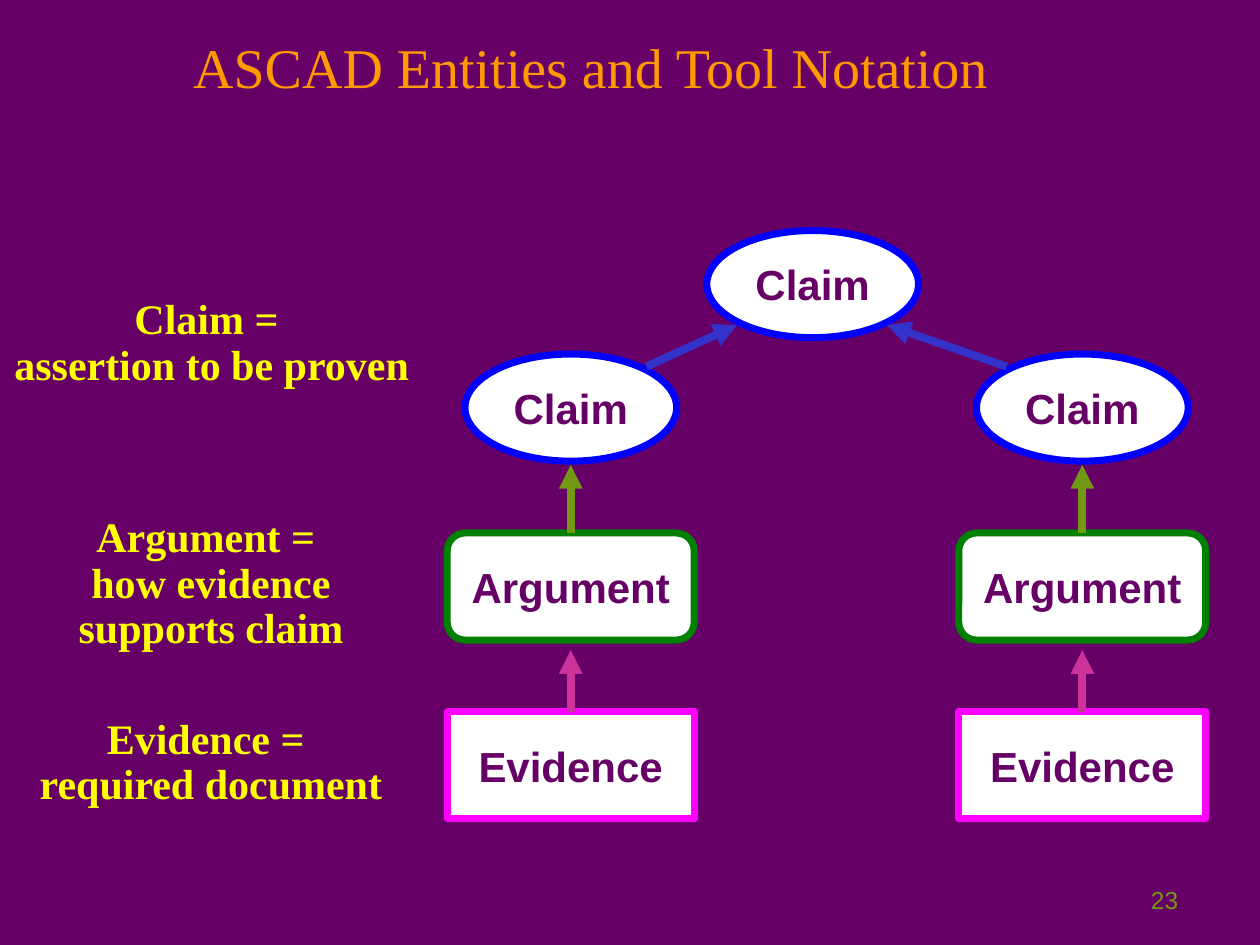
from lxml.etree import SubElement
from pptx import Presentation
from pptx.dml.color import RGBColor
from pptx.enum.shapes import MSO_CONNECTOR, MSO_SHAPE
from pptx.enum.text import MSO_ANCHOR, PP_ALIGN
from pptx.oxml.ns import qn
from pptx.util import Inches, Pt


def color(hex_value):
    """Turn a hex string into a colour."""
    return RGBColor.from_string(hex_value)


def write_text(frame, text, size=24, font="Arial", ink="660066", bold=False,
               align=PP_ALIGN.CENTER, anchor=MSO_ANCHOR.TOP, wrap=True, spacing=None):
    """Fill a text frame with one paragraph per line of text."""
    frame.word_wrap = wrap
    frame.vertical_anchor = anchor
    for index, line in enumerate(text.split("\n")):
        paragraph = frame.add_paragraph() if index else frame.paragraphs[0]
        paragraph.alignment = align
        if spacing:
            paragraph.line_spacing = spacing
        run = paragraph.add_run()
        run.text = line
        run.font.size = Pt(size)
        run.font.name = font
        run.font.bold = bold
        run.font.color.rgb = color(ink)


class NotationSlide:
    """Hold the diagram style and draw its elements on one slide."""

    serif = "Times New Roman"
    background = "660066"
    node_fill = "FFFFFF"
    node_height = 0.85
    node_line = 4
    arrow_line = 4.5

    def __init__(self, presentation):
        """Add a blank slide with the background colour."""
        self.slide = presentation.slides.add_slide(presentation.slide_layouts[6])
        self.slide.background.fill.solid()
        self.slide.background.fill.fore_color.rgb = color(self.background)

    def text(self, left, top, width, height, text, **style):
        """Add a text box."""
        box = self.slide.shapes.add_textbox(
            Inches(left), Inches(top), Inches(width), Inches(height))
        write_text(box.text_frame, text, **style)

    def definition(self, left, top, width, height, text):
        """Add a definition of one entity."""
        self.text(left, top, width, height, text, font=self.serif,
                  ink="FFFF00", bold=True, spacing=0.9)

    def node(self, kind, center, top, width, line_color, text):
        """Add a labelled node centred on a column."""
        shape = self.slide.shapes.add_shape(
            kind, Inches(center - width / 2), Inches(top),
            Inches(width), Inches(self.node_height))
        shape.shadow.inherit = False
        shape.fill.solid()
        shape.fill.fore_color.rgb = color(self.node_fill)
        shape.line.color.rgb = color(line_color)
        shape.line.width = Pt(self.node_line)
        write_text(shape.text_frame, text, bold=True,
                   anchor=MSO_ANCHOR.MIDDLE, wrap=False)
        return shape

    def claim(self, center, top):
        """Add a claim ellipse."""
        return self.node(MSO_SHAPE.OVAL, center, top, 1.68, "0000FF", "Claim")

    def arrow(self, start, end, line_color, source=None):
        """Add an arrow, joined to the top of its source if given."""
        connector = self.slide.shapes.add_connector(
            MSO_CONNECTOR.STRAIGHT, *(Inches(value) for value in (*start, *end)))
        if source is not None:
            connector.begin_connect(source, 0)
        connector.line.color.rgb = color(line_color)
        connector.line.width = Pt(self.arrow_line)
        SubElement(connector.line._get_or_add_ln(), qn("a:tailEnd"), type="triangle")
        SubElement(connector._element.spPr, qn("a:effectLst"))

    def branch(self, center):
        """Add a column where evidence supports an argument for a claim."""
        self.claim(center, 2.81)
        argument = self.node(MSO_SHAPE.ROUNDED_RECTANGLE, center, 4.23, 1.96,
                             "008000", "Argument")
        evidence = self.node(MSO_SHAPE.RECTANGLE, center, 5.65, 1.96,
                             "FF00FF", "Evidence")
        self.arrow((center, 4.23), (center, 3.69), "729814", argument)
        self.arrow((center, 5.65), (center, 5.16), "CC3399", evidence)


def main():
    """Build and save the slide."""
    presentation = Presentation()
    presentation.slide_width = Inches(10)
    presentation.slide_height = Inches(7.5)
    notation = NotationSlide(presentation)

    notation.text(0.44, -0.08, 8.5, 0.92, "ASCAD Entities and Tool Notation", size=32,
                  font=notation.serif, ink="FF9900", anchor=MSO_ANCHOR.BOTTOM)
    notation.definition(-0.08, 2.32, 3.52, 0.82, "Claim = \nassertion to be proven")
    notation.definition(0.11, 4.05, 3.13, 1.18, "Argument = \nhow evidence supports claim")
    notation.definition(0.11, 5.65, 3.13, 0.82, "Evidence = \nrequired document")

    notation.claim(6.45, 1.83)
    for center in (4.53, 8.59):
        notation.branch(center)
    for start, end in ((5.13, 5.85), (7.99, 7.04)):
        notation.arrow((start, 2.91), (end, 2.58), "3333CC")

    notation.text(7.92, 6.81, 1.53, 0.5, "23", size=14, ink="729814",
                  align=PP_ALIGN.RIGHT, anchor=MSO_ANCHOR.BOTTOM)
    presentation.save("out.pptx")


if __name__ == "__main__":
    main()
